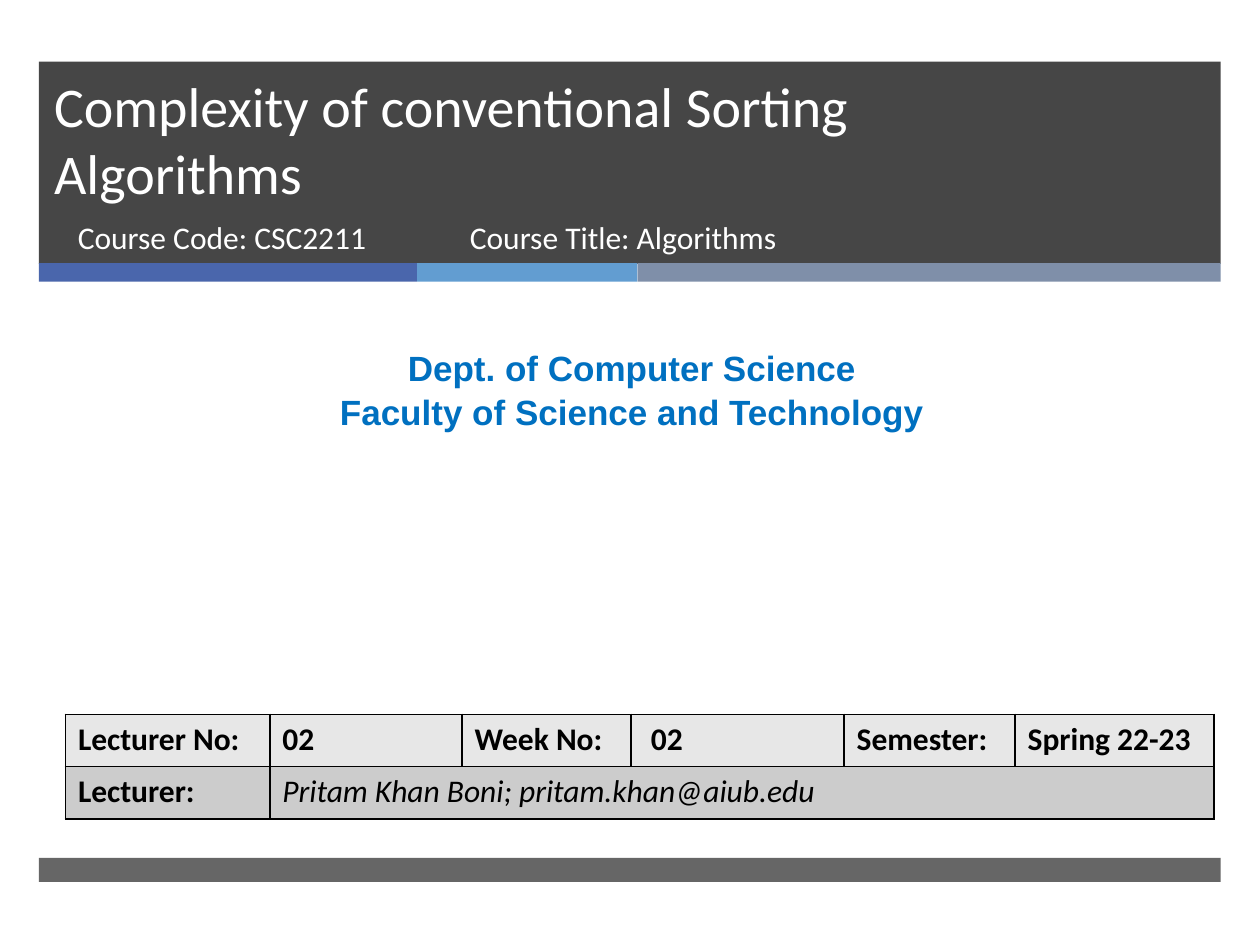
from lxml import etree
from pptx import Presentation
from pptx import util as u
from pptx.dml.color import RGBColor
from pptx.enum import shapes, text
from pptx.oxml.ns import qn

COLORS = {
    "dark": "262626", "blue": "4A66AC", "sky": "629DD1", "slate": "7F8FA9",
    "white": "FFFFFF", "black": "000000", "heading": "0070C0",
    "light_row": "E7E7E7", "dark_row": "CCCCCC",
}

# Content: lengths in points
BAND_LEFT, BAND_WIDTH = 22.3, 675.2
BARS = [  # top, height, [(width, color)], opacity in percent
    (35.2, 115.6, [(BAND_WIDTH, "dark")], 85),
    (150.4, 10.6, [(216, "blue"), (126, "sky"), (333.2, "slate")], 100),
    (490.2, 13.7, [(BAND_WIDTH, "dark")], 70),
]
COURSE = {"size": u.Pt(18), "name": "Calibri"}
TEXTS = [  # box, lines, font, color, paragraph format, anchor
    ((23.8, 35.2, 613, 85.8), ["Complexity of conventional Sorting Algorithms"],
     {"size": u.Pt(32), "name": "Calibri"}, "white", {}, text.MSO_ANCHOR.BOTTOM),
    ((37.4, 121, 220, 38), ["Course Code: CSC2211"], COURSE, "white", {},
     text.MSO_ANCHOR.TOP),
    ((261.4, 121, 328, 38), ["Course Title: Algorithms"], COURSE, "white", {},
     text.MSO_ANCHOR.TOP),
    ((5.8, 193, 710.6, 55.4),
     ["Dept. of Computer Science", "Faculty of Science and Technology"],
     {"size": u.Pt(20), "name": "Arial", "bold": True}, "heading",
     {"alignment": text.PP_ALIGN.CENTER, "line_spacing": 1.05},
     text.MSO_ANCHOR.TOP),
]
TABLE_LEFT, TABLE_TOP, ROW_HEIGHT = 37.4, 408.2, 29.9
COLUMN_WIDTHS = [116.8, 109.9, 96.6, 121.7, 97.7, 113.8]
ROWS = [
    ("light_row", ["Lecturer No:", "02", "Week No:", "02", "Semester:", "Spring 22-23"]),
    ("dark_row", ["Lecturer:", "Pritam Khan Boni; pritam.khan@aiub.edu"]),
]
LECTURER_CELL, WEEK_CELL = (1, 1), (0, 3)


def rgb(name):
    return RGBColor.from_string(COLORS[name])


def apply(target, values):
    for name, value in values.items():
        setattr(target, name, value)


def style_font(font, values, color):
    apply(font, values)
    font.color.rgb = rgb(color)


def add_bar(slide, left, top, width, height, color, opacity):
    shape = slide.shapes.add_shape(
        shapes.MSO_SHAPE.RECTANGLE, *map(u.Pt, (left, top, width, height)))
    shape.shadow.inherit = False
    shape.line.fill.background()
    shape.fill.solid()
    shape.fill.fore_color.rgb = rgb(color)
    if opacity < 100:
        fill_color = shape.fill._xPr.find(qn("a:solidFill"))[0]
        etree.SubElement(fill_color, qn("a:alpha"), val=str(opacity * 1000))


def add_text(slide, box, lines, font, color, paragraph_format, anchor):
    frame = slide.shapes.add_textbox(*map(u.Pt, box)).text_frame
    apply(frame, {"word_wrap": True, "vertical_anchor": anchor})
    for index, line in enumerate(lines):
        paragraph = frame.add_paragraph() if index else frame.paragraphs[0]
        apply(paragraph, paragraph_format)
        paragraph.text = line
        style_font(paragraph.font, font, color)


def add_borders(cell):
    properties = cell._tc.get_or_add_tcPr()
    for side in ("lnL", "lnR", "lnT", "lnB"):
        line = etree.SubElement(properties, qn(f"a:{side}"), w=str(u.Pt(1)))
        fill = etree.SubElement(line, qn("a:solidFill"))
        etree.SubElement(fill, qn("a:srgbClr"), val=COLORS["black"])


def add_lecture_table(slide):
    table = slide.shapes.add_table(
        len(ROWS), len(COLUMN_WIDTHS), u.Pt(TABLE_LEFT), u.Pt(TABLE_TOP),
        u.Pt(sum(COLUMN_WIDTHS)), u.Pt(ROW_HEIGHT * len(ROWS))).table
    apply(table, {"first_row": False, "horz_banding": False})
    for column, width in zip(table.columns, COLUMN_WIDTHS):
        column.width = u.Pt(width)
    for row_index, (color, values) in enumerate(ROWS):
        table.rows[row_index].height = u.Pt(ROW_HEIGHT)
        for column_index in range(len(COLUMN_WIDTHS)):
            cell = table.cell(row_index, column_index)
            add_borders(cell)
            cell.fill.solid()
            cell.fill.fore_color.rgb = rgb(color)
            if column_index < len(values):
                paragraph = cell.text_frame.paragraphs[0]
                paragraph.text = values[column_index]
                is_lecturer = (row_index, column_index) == LECTURER_CELL
                style_font(paragraph.font, {
                    **COURSE, "bold": not is_lecturer, "italic": is_lecturer}, "black")
    table.cell(*LECTURER_CELL).merge(table.cell(1, len(COLUMN_WIDTHS) - 1))
    table.cell(*WEEK_CELL).margin_left = u.Pt(11.3)


def main():
    presentation = Presentation()
    apply(presentation, {"slide_width": u.Pt(720), "slide_height": u.Pt(540)})
    slide = presentation.slides.add_slide(presentation.slide_layouts[6])

    # Header band, accent strip and footer band
    for top, height, segments, opacity in BARS:
        left = BAND_LEFT
        for width, color in segments:
            add_bar(slide, left, top, width, height, color, opacity)
            left += width

    # Title, course details and department
    for item in TEXTS:
        add_text(slide, *item)

    # Lecture details
    add_lecture_table(slide)
    presentation.save("out.pptx")


if __name__ == "__main__":
    main()
